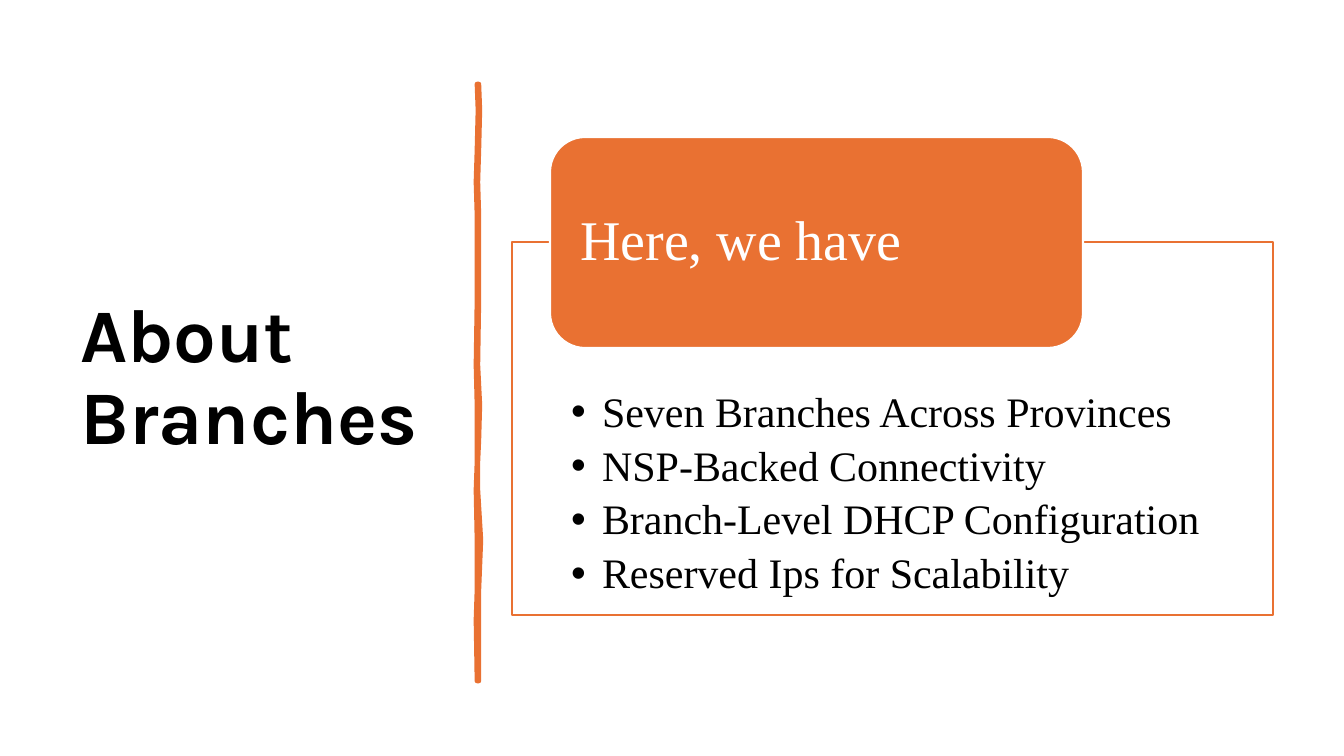
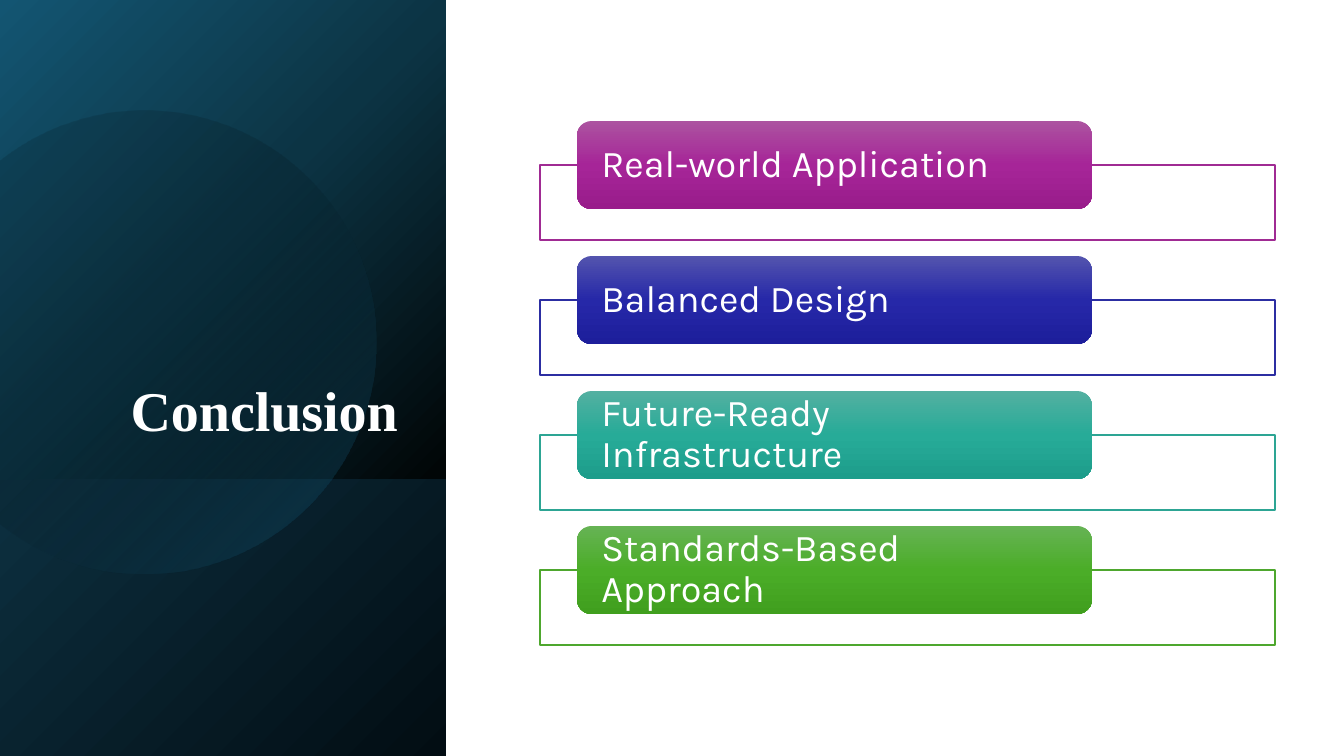
from math import acos, cos, pi, sin

from lxml.etree import SubElement
from pptx import Presentation
from pptx.dml.color import RGBColor
from pptx.enum.shapes import MSO_SHAPE
from pptx.enum.text import MSO_ANCHOR, MSO_AUTO_SIZE, PP_ALIGN
from pptx.oxml.ns import qn
from pptx.util import Pt

PX = 914400 / 100.8
SLIDE_W, SLIDE_H = 1344, 756
SERIF, SANS = "Times New Roman", "Karla"

COLORS = {
    "paper": "FFFFFF",
    "ink": "000000",
    "accent": "E97132",
    "purple": "A02B93",
    "blue": "2C2EA2",
    "teal": "2DA594",
    "green": "4EA72E",
}

BRANCHES = {
    "title": "About Branches",
    "heading": "Here, we have",
    "points": [
        "Seven Branches Across Provinces",
        "NSP-Backed Connectivity",
        "Branch-Level DHCP Configuration",
        "Reserved Ips for Scalability",
    ],
}

CONCLUSION = {
    "title": "Conclusion",
    "points": [
        ("Real-world Application", "purple", ("AC53A0", "A62598", "991C8B")),
        ("Balanced Design", "blue", ("5354AE", "2628A8", "1D1E9B")),
        ("Future-Ready Infrastructure", "teal", ("53B0A1", "27AB98", "1D9D8B")),
        ("Standards-Based Approach", "green", ("66B354", "4BAD28", "409F1E")),
    ],
}

DIVIDER_EDGES = [
    (84, 477, 479), (110, 478, 480), (150, 477, 479), (182, 476, 478),
    (215, 477, 479), (300, 477, 479), (365, 476, 478), (405, 477, 480),
    (440, 477, 479), (462, 477, 478), (490, 476, 478), (540, 477, 481),
    (590, 477, 479), (620, 476, 479), (681, 477, 479),
]

PANEL_W, FLOOR_TOP = 446, 480
PANEL_STOPS = [(0, "135572", 100), (38, "0C3444", 100),
               (76, "010607", 100), (100, "000000", 100)]
FLOOR_STOPS = [(0, "0D3040", 100), (100, "020D13", 100)]
DISC_STOPS = [(0, "000000", 12), (29, "000000", 12), (100, "156082", 43)]
DISC_X, DISC_Y, DISC_R = 144, 342, 232

ROW_TOP, ROW_PITCH = 121, 135


def px(*lengths):
    return [round(length * PX) for length in lengths]


def rgb(name):
    return RGBColor.from_string(COLORS[name])


def place(shape, box):
    shape.left, shape.top, shape.width, shape.height = px(*box)


def paint(shape, fill, line=None, weight=1):
    shape.fill.solid()
    shape.fill.fore_color.rgb = rgb(fill)
    outline(shape, line, weight)


def outline(shape, line=None, weight=1):
    shape.shadow.inherit = False
    if line:
        shape.line.color.rgb = rgb(line)
        shape.line.width = Pt(weight)
    else:
        shape.line.fill.background()


def shade(shape, stops, angle):
    outline(shape)
    shape.fill.gradient()
    shape.fill.gradient_angle = 360 - angle
    stop_list = shape._element.spPr.find(qn("a:gradFill")).find(qn("a:gsLst"))
    for old in list(stop_list):
        stop_list.remove(old)
    for position, color, opacity in stops:
        stop = SubElement(stop_list, qn("a:gs"), pos=str(position * 1000))
        tint = SubElement(stop, qn("a:srgbClr"), val=color)
        if opacity < 100:
            SubElement(tint, qn("a:alpha"), val=str(opacity * 1000))


def add_block(slide, kind, box):
    return slide.shapes.add_shape(kind, *px(*box))


def add_outline(slide, points):
    fine = [(x * 10, y * 10) for x, y in points]
    builder = slide.shapes.build_freeform(*fine[0], scale=PX / 10)
    builder.add_line_segments(fine[1:], close=True)
    return builder.convert_to_shape()


def style(paragraph, font, size, color, bold=False, align=PP_ALIGN.LEFT):
    paragraph.alignment = align
    paragraph.line_spacing = 0.9
    paragraph.space_before = Pt(0)
    paragraph.font.name = font
    paragraph.font.size = Pt(size)
    paragraph.font.bold = bold
    paragraph.font.color.rgb = rgb(color)


def write_title(slide, words, box, anchor, **look):
    title = slide.shapes.title
    place(title, box)
    frame = title.text_frame
    frame.text = words
    frame.auto_size = MSO_AUTO_SIZE.NONE
    frame.vertical_anchor = anchor
    style(frame.paragraphs[0], bold=True, **look)


def add_tab(slide, words, box, font, size):
    tab = add_block(slide, MSO_SHAPE.ROUNDED_RECTANGLE, box)
    frame = tab.text_frame
    frame.text = words
    frame.word_wrap = True
    frame.vertical_anchor = MSO_ANCHOR.MIDDLE
    frame.margin_left, frame.margin_right = px(20, 20)
    frame.margin_top = frame.margin_bottom = 0
    style(frame.paragraphs[0], font, size, "paper")
    return tab


def build_branches(deck):
    slide = deck.slides.add_slide(deck.slide_layouts[1])
    write_title(slide, BRANCHES["title"], (70, 71, 377, 616), MSO_ANCHOR.MIDDLE,
                font=SANS, size=54, color="ink")

    left_edge = [(left, y) for y, left, right in DIVIDER_EDGES]
    right_edge = [(right, y) for y, left, right in DIVIDER_EDGES]
    divider = add_outline(slide, left_edge + right_edge[::-1])
    paint(divider, "accent", "accent", 3.25)

    points = slide.placeholders[1]
    place(points, (512, 242, 761, 373))
    points.fill.solid()
    points.fill.fore_color.rgb = rgb("paper")
    points.line.color.rgb = rgb("accent")
    points.line.width = Pt(1.5)
    frame = points.text_frame
    frame.text = "\n".join(BRANCHES["points"])
    frame.auto_size = MSO_AUTO_SIZE.NONE
    frame.margin_left, frame.margin_top, frame.margin_right, frame.margin_bottom = px(
        59, 149, 59, 23)
    hang = px(31)[0]
    for paragraph in frame.paragraphs:
        style(paragraph, SERIF, 30, "ink")
        paragraph.space_after = Pt(6)
        properties = paragraph._p.get_or_add_pPr()
        properties.set("marL", str(hang))
        properties.set("indent", str(-hang))

    heading = add_tab(slide, BRANCHES["heading"], (550, 137, 533, 211), SERIF, 40)
    paint(heading, "accent", "paper", 1.5)


def build_conclusion(deck):
    slide = deck.slides.add_slide(deck.slide_layouts[5])
    panel = add_block(slide, MSO_SHAPE.RECTANGLE, (0, 0, PANEL_W, SLIDE_H))
    shade(panel, PANEL_STOPS, 45)
    floor = add_block(slide, MSO_SHAPE.RECTANGLE,
                      (0, FLOOR_TOP, PANEL_W, SLIDE_H - FLOOR_TOP))
    shade(floor, FLOOR_STOPS, 45)

    reach = acos(-DISC_X / DISC_R)
    angles = [-reach + 2 * reach * step / 90 for step in range(91)]
    disc = add_outline(slide, [(DISC_X + DISC_R * cos(a), DISC_Y + DISC_R * sin(a))
                               for a in angles])
    shade(disc, DISC_STOPS, 45)

    title = slide.shapes.title
    write_title(slide, CONCLUSION["title"], (64, 185, 344, 264), MSO_ANCHOR.BOTTOM,
                font=SERIF, size=40, color="paper", align=PP_ALIGN.RIGHT)
    slide.shapes._spTree.append(title._element)

    for row, (words, color, shades) in enumerate(CONCLUSION["points"]):
        top = ROW_TOP + row * ROW_PITCH
        tray = add_block(slide, MSO_SHAPE.RECTANGLE, (540, top + 44, 735, 75))
        paint(tray, "paper", color)
        tab = add_tab(slide, words, (577, top, 515, 88), SANS, 27)
        shade(tab, [(50 * i, tone, 100) for i, tone in enumerate(shades)], 90)


def main():
    deck = Presentation()
    deck.slide_width, deck.slide_height = px(SLIDE_W, SLIDE_H)
    build_branches(deck)
    build_conclusion(deck)
    deck.save("out.pptx")


if __name__ == "__main__":
    main()
